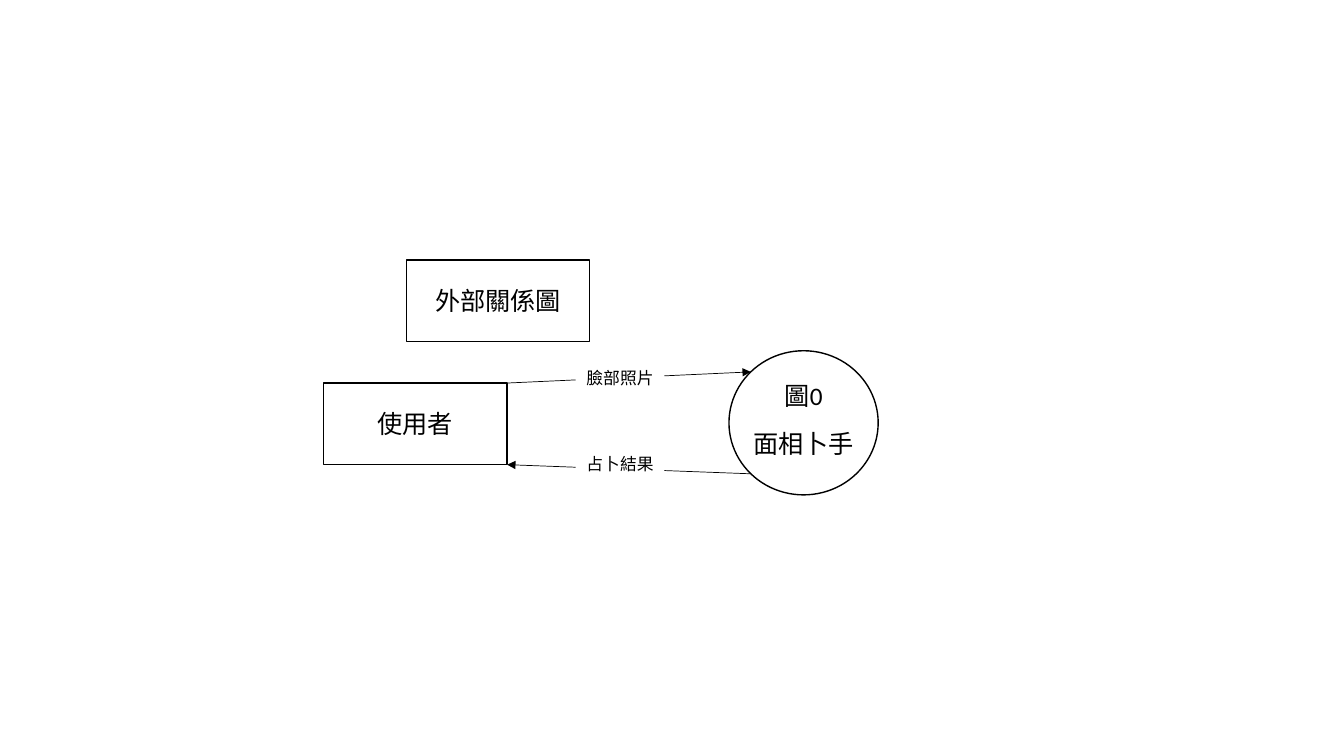
from dataclasses import dataclass
from math import sqrt

from lxml import etree
from pptx import Presentation
from pptx.dml.color import RGBColor
from pptx.enum.shapes import MSO_CONNECTOR, MSO_SHAPE
from pptx.enum.text import MSO_ANCHOR, MSO_AUTO_SIZE, PP_ALIGN
from pptx.oxml.ns import qn
from pptx.util import Inches, Pt

RECTANGLE, ELLIPSE = MSO_SHAPE.RECTANGLE, MSO_SHAPE.OVAL
STRAIGHT = MSO_CONNECTOR.STRAIGHT
CENTER, MIDDLE = PP_ALIGN.CENTER, MSO_ANCHOR.MIDDLE
NO_AUTOFIT = MSO_AUTO_SIZE.NONE
TITLE_ONLY_LAYOUT = 5


@dataclass(frozen=True)
class Theme:
    """Colours, font, type sizes and line widths of the slide."""

    ink: RGBColor = RGBColor(0, 0, 0)
    paper: RGBColor = RGBColor(255, 255, 255)
    font: str = "Calibri"
    node_size: int = 18
    flow_size: int = 12
    outline: float = 1
    arrow: float = 0.5


@dataclass(frozen=True)
class Box:
    """A rectangle in inches."""

    left: float
    top: float
    width: float
    height: float

    def lengths(self):
        """Return the four measures as slide lengths."""
        return [Inches(value) for value in (self.left, self.top, self.width, self.height)]

    def centered(self, width, height, drop=0):
        """Return a box of the given size around the centre, moved down by drop."""
        left = self.left + (self.width - width) / 2
        top = self.top + (self.height - height) / 2 + drop
        return Box(left, top, width, height)


THEME = Theme()
LABEL_HEIGHT = 0.4


def write_text(shape, text, size):
    """Write one centred line of text into a shape."""
    frame = shape.text_frame
    frame.auto_size = NO_AUTOFIT
    frame.word_wrap = False
    frame.vertical_anchor = MIDDLE
    paragraph = frame.paragraphs[0]
    paragraph.alignment = CENTER
    run = paragraph.add_run()
    run.text = text
    run.font.name = THEME.font
    run.font.size = Pt(size)
    run.font.color.rgb = THEME.ink


def add_outline(slide, kind, box):
    """Draw an unfilled outline shape."""
    shape = slide.shapes.add_shape(kind, *box.lengths())
    shape.shadow.inherit = False
    shape.fill.background()
    shape.line.color.rgb = THEME.ink
    shape.line.width = Pt(THEME.outline)


def add_label(slide, box, text):
    """Place a node label in a text box."""
    write_text(slide.shapes.add_textbox(*box.lengths()), text, THEME.node_size)


def add_title(slide, box, text):
    """Place the slide title inside a frame."""
    add_outline(slide, RECTANGLE, box)
    title = slide.shapes.title
    title.left, title.top, title.width, title.height = box.centered(1.48, LABEL_HEIGHT).lengths()
    write_text(title, text, THEME.node_size)


def add_entity(slide, box, text):
    """Draw an external entity with its label."""
    add_outline(slide, RECTANGLE, box)
    add_label(slide, box.centered(0.96, LABEL_HEIGHT), text)


def add_process(slide, box, number, name):
    """Draw a process circle with its number above its name."""
    add_outline(slide, ELLIPSE, box)
    add_label(slide, box.centered(0.63, LABEL_HEIGHT, -0.27), number)
    add_label(slide, box.centered(1.24, LABEL_HEIGHT, 0.2), name)


def add_arrow(slide, start, end):
    """Draw a thin line with an arrowhead at its end."""
    points = [Inches(value) for value in (*start, *end)]
    connector = slide.shapes.add_connector(STRAIGHT, *points)
    connector.line.color.rgb = THEME.ink
    connector.line.width = Pt(THEME.arrow)
    etree.SubElement(connector.line._get_or_add_ln(), qn("a:tailEnd"), type="triangle")
    etree.SubElement(connector._element.spPr, qn("a:effectLst"))


def add_flow_label(slide, box, text):
    """Cover the middle of an arrow with the name of its data flow."""
    shape = slide.shapes.add_shape(RECTANGLE, *box.lengths())
    shape.shadow.inherit = False
    shape.fill.solid()
    shape.fill.fore_color.rgb = THEME.paper
    shape.line.fill.background()
    write_text(shape, text, THEME.flow_size)


def add_flows(slide, entity, process, request, response):
    """Join the entity corners to the process circle in both directions."""
    right = entity.left + entity.width
    inset = (1 - 1 / sqrt(2)) / 2
    circle_left = process.left + process.width * inset
    circle_top = process.top + process.height * inset
    circle_bottom = process.top + process.height * (1 - inset)
    add_arrow(slide, (circle_left, circle_bottom), (right, entity.top + entity.height))
    add_arrow(slide, (right, entity.top), (circle_left, circle_top))
    for text, top in ((request, 3.6), (response, 4.45)):
        add_flow_label(slide, Box(5.71, top, 0.88, 0.3), text)


def build_context_diagram(presentation):
    """Build the context diagram slide."""
    slide = presentation.slides.add_slide(presentation.slide_layouts[TITLE_ONLY_LAYOUT])
    user = Box(3.21, 3.8, 1.82, 0.81)
    fortune_teller = Box(7.23, 3.48, 1.48, 1.43)
    add_entity(slide, user, "使用者")
    add_process(slide, fortune_teller, "圖0", "面相卜手")
    add_flows(slide, user, fortune_teller, "臉部照片", "占卜結果")
    add_title(slide, Box(4.03, 2.58, 1.82, 0.81), "外部關係圖")


def main():
    """Create and save the presentation."""
    presentation = Presentation()
    presentation.slide_width = Inches(13.33)
    presentation.slide_height = Inches(7.5)
    build_context_diagram(presentation)
    presentation.save("out.pptx")


main()
